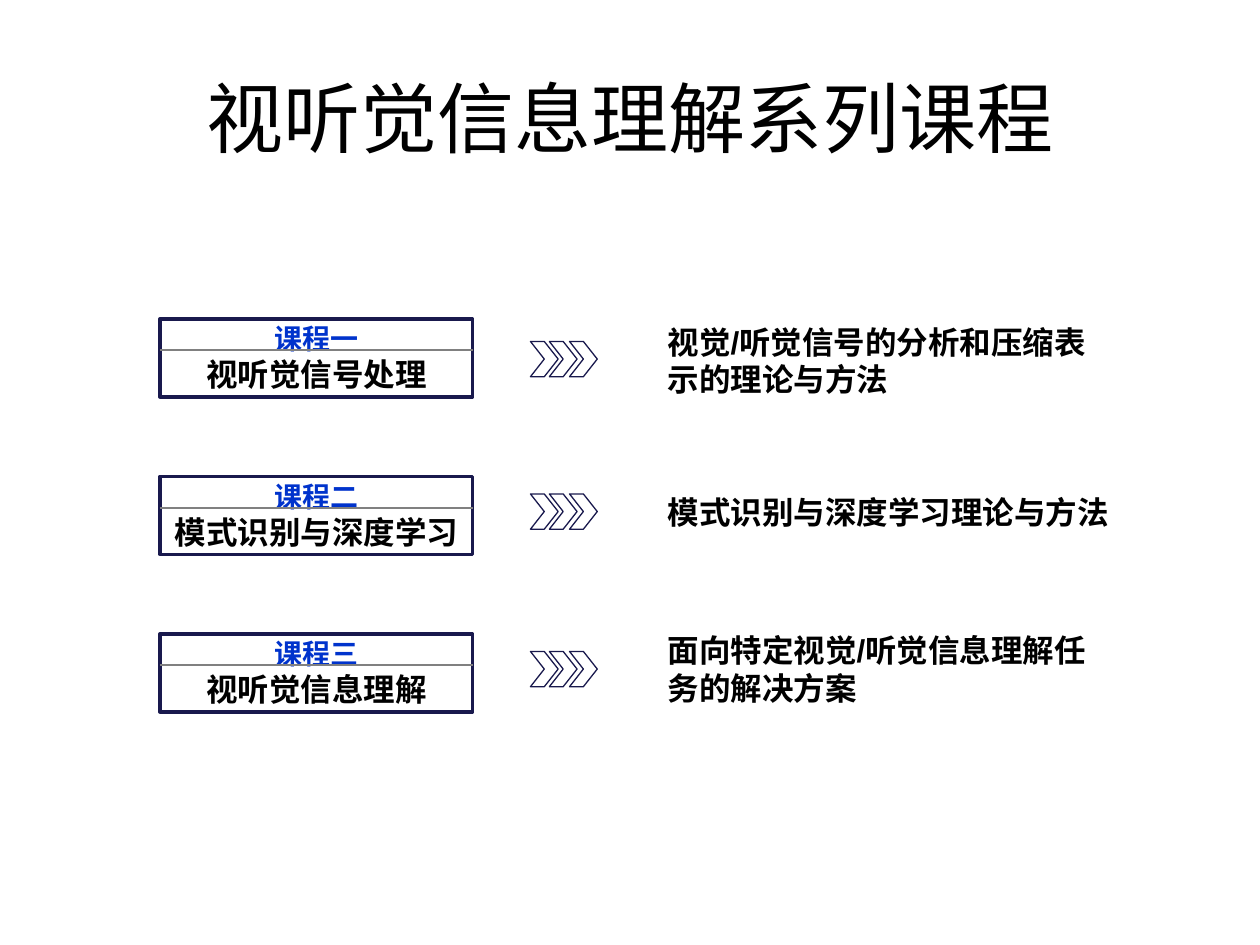
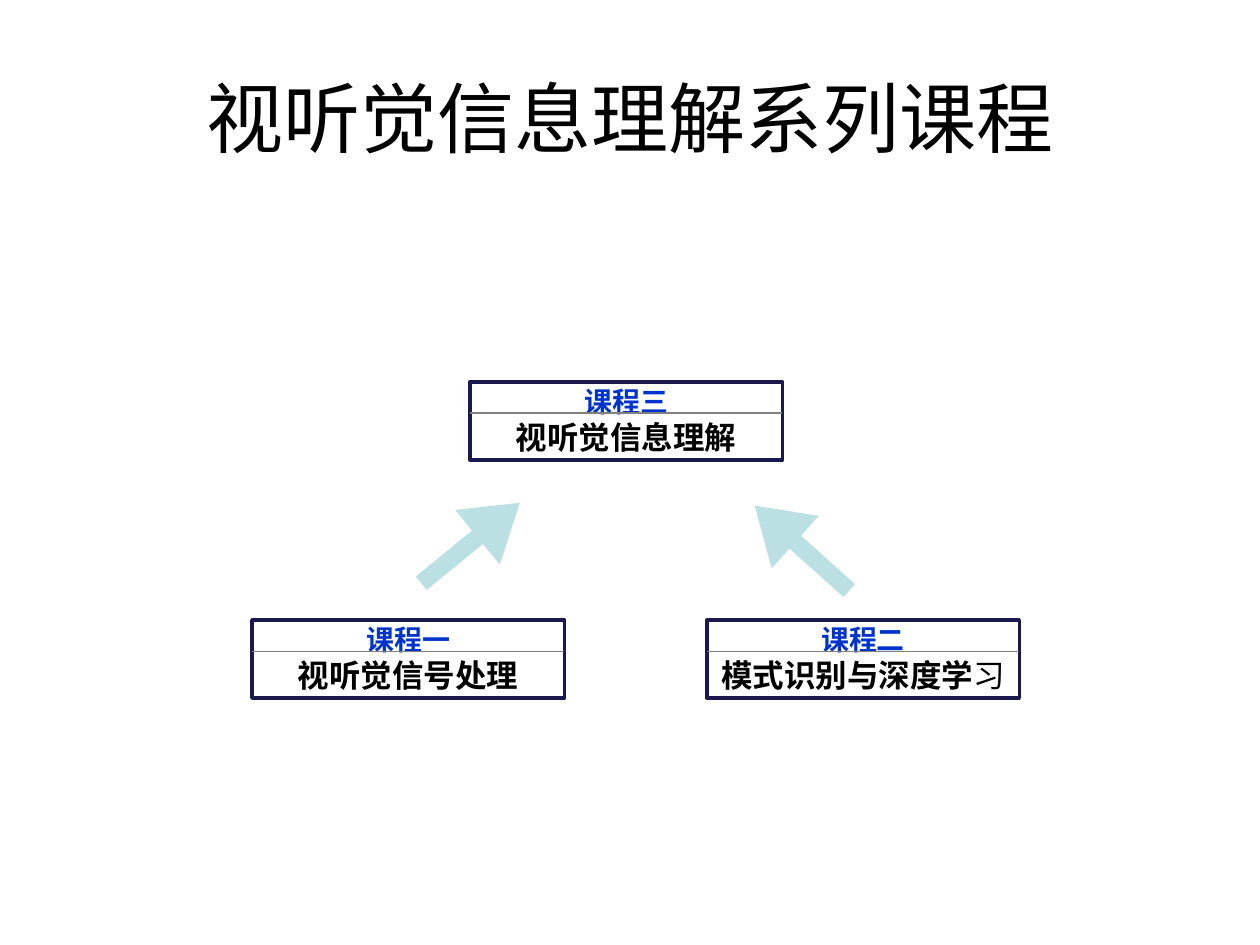
from lxml import etree
from pptx import Presentation
from pptx import util as u
from pptx.dml.color import RGBColor
from pptx.enum import shapes, text
from pptx.oxml import ns

# Shared look
BLACK = RGBColor(0x00, 0x00, 0x00)
NAVY = RGBColor(0x19, 0x19, 0x4D)
BLUE = RGBColor(0x00, 0x33, 0xCC)
GRAY = RGBColor(0x80, 0x80, 0x80)
TEAL = RGBColor(0xBB, 0xE0, 0xE3)
LATIN, CJK = "Arial", "Noto Sans CJK SC"
TITLE = "视听觉信息理解系列课程"
BOX_WIDTH, BOX_HEIGHT, DIVIDER_DROP = 2.48, 0.62, 0.25
LINE_PITCH = 1.2
CHEVRON_LEFTS = (4.21, 4.36, 4.52)
CHEVRON_OUTLINE = ((0.11, 0), (0.22, 0.14), (0.11, 0.28), (0, 0.28), (0.11, 0.14))

# Courses: heading and the spans of the name
SIGNALS = ("课程一", ["视听觉信号处理"])
LEARNING = ("课程二", ["模式识别与深度学习"])
UNDERSTANDING = ("课程三", ["视听觉信息理解"])


def add_span(para, words, size, color=BLACK, bold=False, font=LATIN):
    span = para.add_run()
    span.text = words
    span.font.size = u.Pt(size)
    span.font.bold = bold
    span.font.color.rgb = color
    span.font.name = font
    east_asian = etree.SubElement(span.font._element, ns.qn("a:ea"))
    east_asian.set("typeface", CJK)


def set_frame(shape, top, bottom):
    frame = shape.text_frame
    frame.word_wrap = True
    frame.vertical_anchor = text.MSO_ANCHOR.MIDDLE
    frame.margin_left = frame.margin_right = u.Inches(0.1)
    frame.margin_top, frame.margin_bottom = u.Inches(top), u.Inches(bottom)
    return frame


def add_page(deck):
    page = deck.slides.add_slide(deck.slide_layouts[5])
    title = page.shapes.title
    title.left, title.top = u.Inches(0.5), u.Inches(0.3)
    title.width, title.height = u.Inches(9), u.Inches(1.25)
    para = title.text_frame.paragraphs[0]
    para.alignment = text.PP_ALIGN.CENTER
    add_span(para, TITLE, 44)
    return page


def add_course(page, left, top, heading, name_spans):
    """Outlined box with a heading, a divider and the course name."""
    box = page.shapes.add_shape(
        shapes.MSO_SHAPE.RECTANGLE, u.Inches(left), u.Inches(top),
        u.Inches(BOX_WIDTH), u.Inches(BOX_HEIGHT))
    box.shadow.inherit = False
    box.fill.background()
    box.line.color.rgb = NAVY
    box.line.width = u.Pt(2)
    frame = set_frame(box, 0.02, 0.03)
    heading_para, name_para = frame.paragraphs[0], frame.add_paragraph()
    for para, size in ((heading_para, 16), (name_para, 18)):
        para.alignment = text.PP_ALIGN.CENTER
        para.line_spacing = u.Pt(size * LINE_PITCH)
    add_span(heading_para, heading, 16, BLUE, True, CJK)
    for index, words in enumerate(name_spans):
        add_span(name_para, words, 18, bold=index == 0, font=CJK)

    height = u.Inches(top + DIVIDER_DROP)
    divider = page.shapes.add_connector(
        shapes.MSO_CONNECTOR.STRAIGHT, u.Inches(left), height,
        u.Inches(left + BOX_WIDTH), height)
    divider.line.color.rgb = GRAY
    divider.line.width = u.Pt(1)
    etree.SubElement(divider._element.spPr, ns.qn("a:effectLst"))


def add_chevrons(page, top):
    for left in CHEVRON_LEFTS:
        builder = page.shapes.build_freeform(u.Inches(left), u.Inches(top))
        builder.add_line_segments(
            [(u.Inches(left + x), u.Inches(top + y)) for x, y in CHEVRON_OUTLINE])
        chevron = builder.convert_to_shape()
        chevron.shadow.inherit = False
        chevron.fill.background()
        chevron.line.color.rgb = NAVY
        chevron.line.width = u.Pt(0.75)


def add_description(page, left, top, width, height, words):
    box = page.shapes.add_textbox(
        u.Inches(left), u.Inches(top), u.Inches(width), u.Inches(height))
    para = set_frame(box, 0.08, 0.02).paragraphs[0]
    para.line_spacing = u.Pt(18 * LINE_PITCH)
    add_span(para, words, 18, bold=True)


def add_arrow(page, left, top, rotation):
    arrow = page.shapes.add_shape(
        shapes.MSO_SHAPE.RIGHT_ARROW, u.Inches(left), u.Inches(top),
        u.Inches(1.01), u.Inches(0.56))
    arrow.adjustments[0], arrow.adjustments[1] = 0.245, 0.773
    arrow.rotation = rotation
    arrow.shadow.inherit = False
    arrow.fill.solid()
    arrow.fill.fore_color.rgb = TEAL
    arrow.line.fill.background()


def build_overview(deck):
    page = add_page(deck)
    # Course, chevron top, description top and height, description
    rows = [
        (SIGNALS, 2.71, 2.48, 0.7, "视觉/听觉信号的分析和压缩表示的理论与方法"),
        (LEARNING, 3.92, 3.83, 0.4, "模式识别与深度学习理论与方法"),
        (UNDERSTANDING, 5.17, 4.93, 0.7, "面向特定视觉/听觉信息理解任务的解决方案"),
    ]
    for index, (course, chevron_top, top, height, words) in enumerate(rows):
        add_course(page, 1.27, 2.53 + 1.25 * index, *course)
        add_chevrons(page, chevron_top)
        add_description(page, 5.2, top, 3.76, height, words)


def build_dependencies(deck):
    page = add_page(deck)
    add_course(page, 2, 4.92, *SIGNALS)
    add_course(page, 5.61, 4.92, LEARNING[0], ["模式识别与深度学", "习"])
    add_course(page, 3.73, 3.03, *UNDERSTANDING)
    # Both foundation courses lead up to the third
    add_arrow(page, 3.23, 4.03, 320.8)
    add_arrow(page, 5.86, 4.07, 221.9)


def main():
    deck = Presentation()
    deck.slide_width, deck.slide_height = u.Inches(10), u.Inches(7.5)
    build_overview(deck)
    build_dependencies(deck)
    deck.save("out.pptx")


if __name__ == "__main__":
    main()
